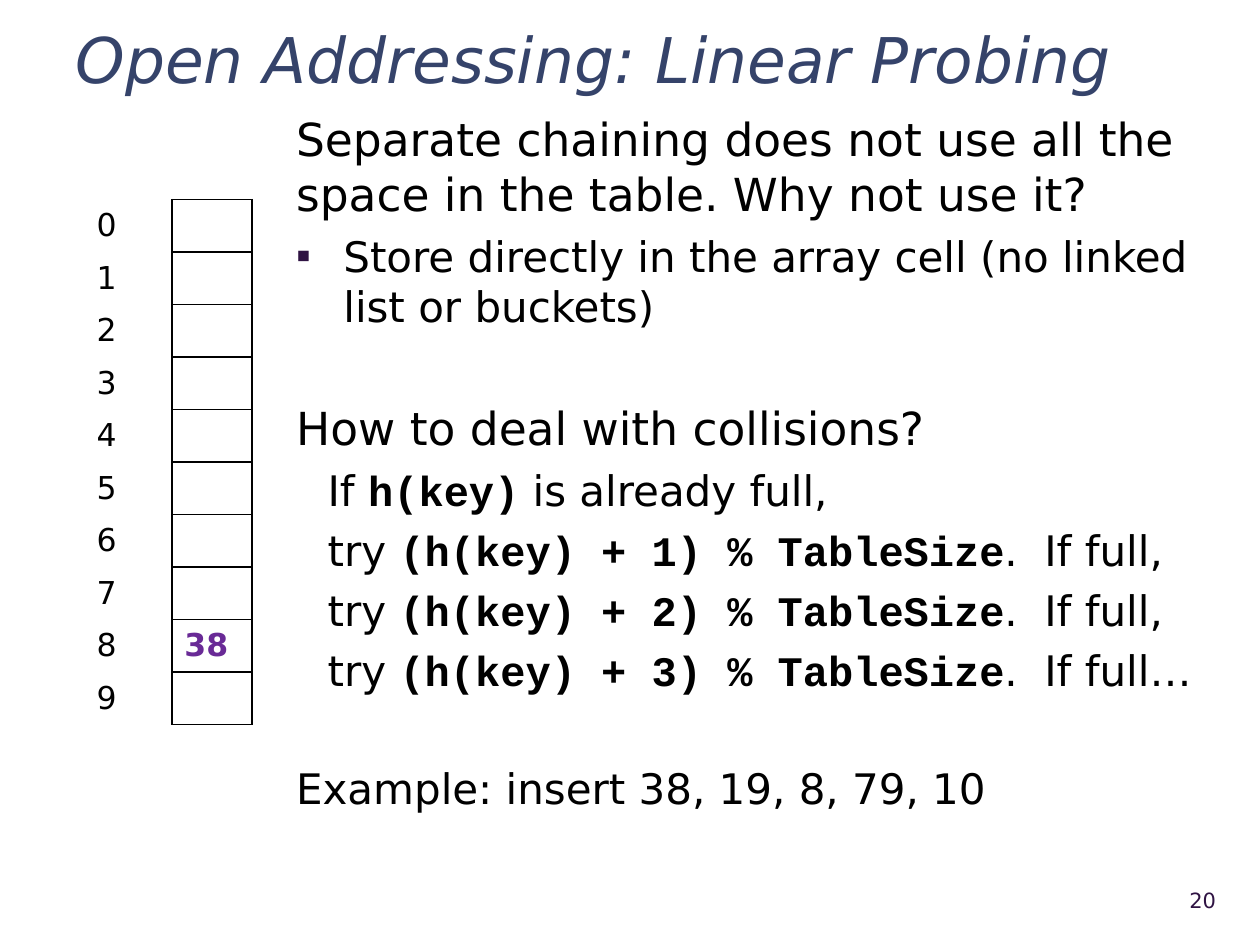
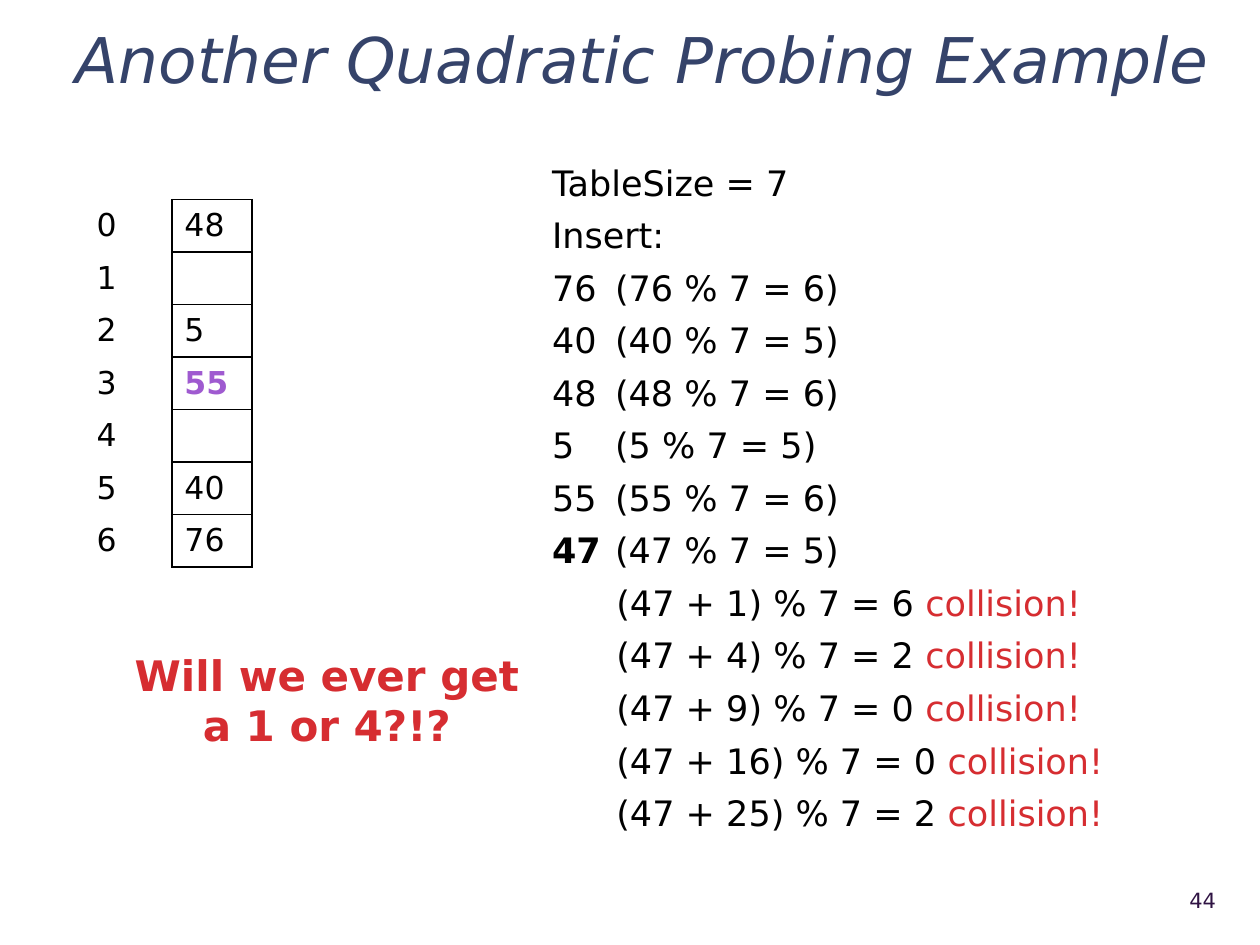
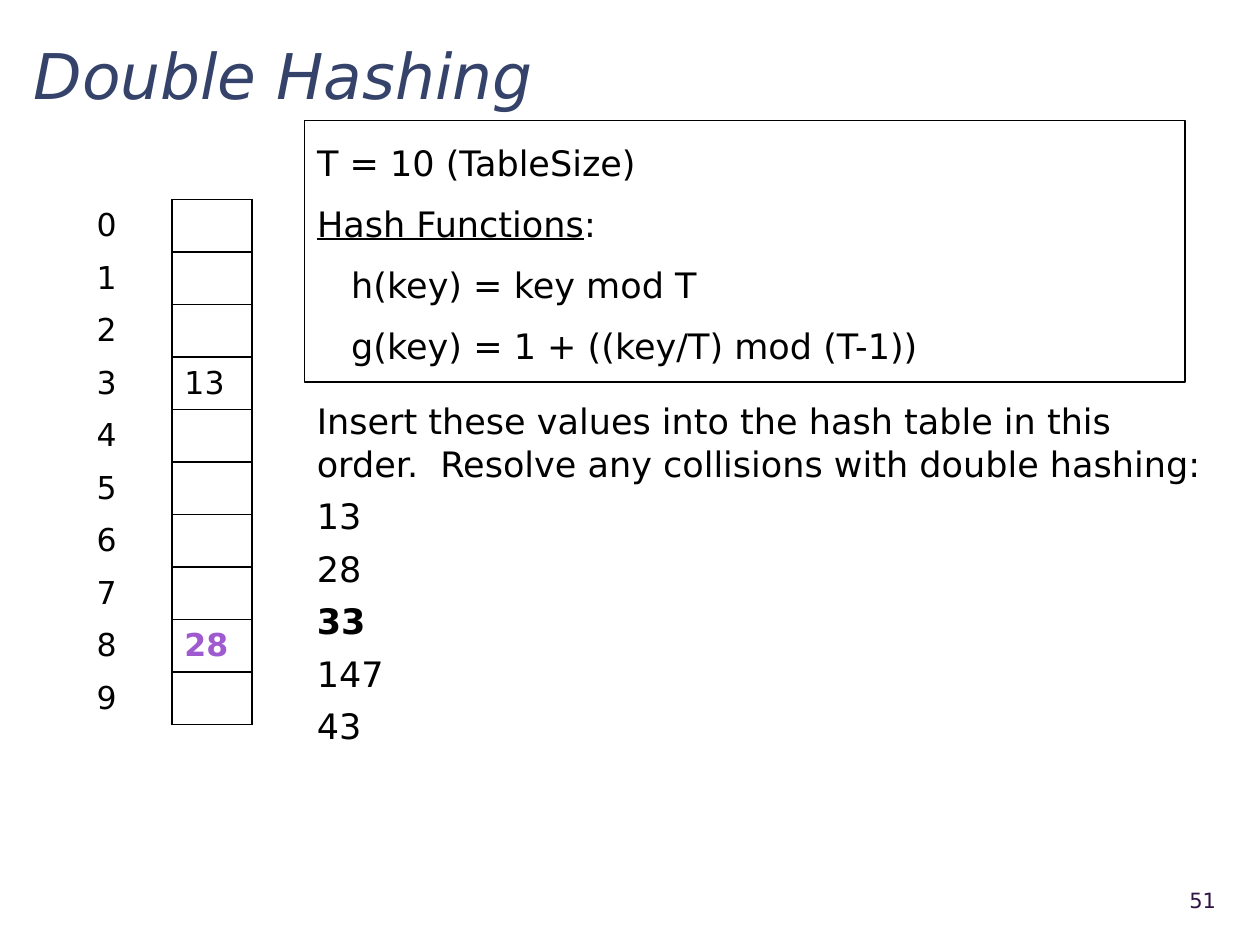
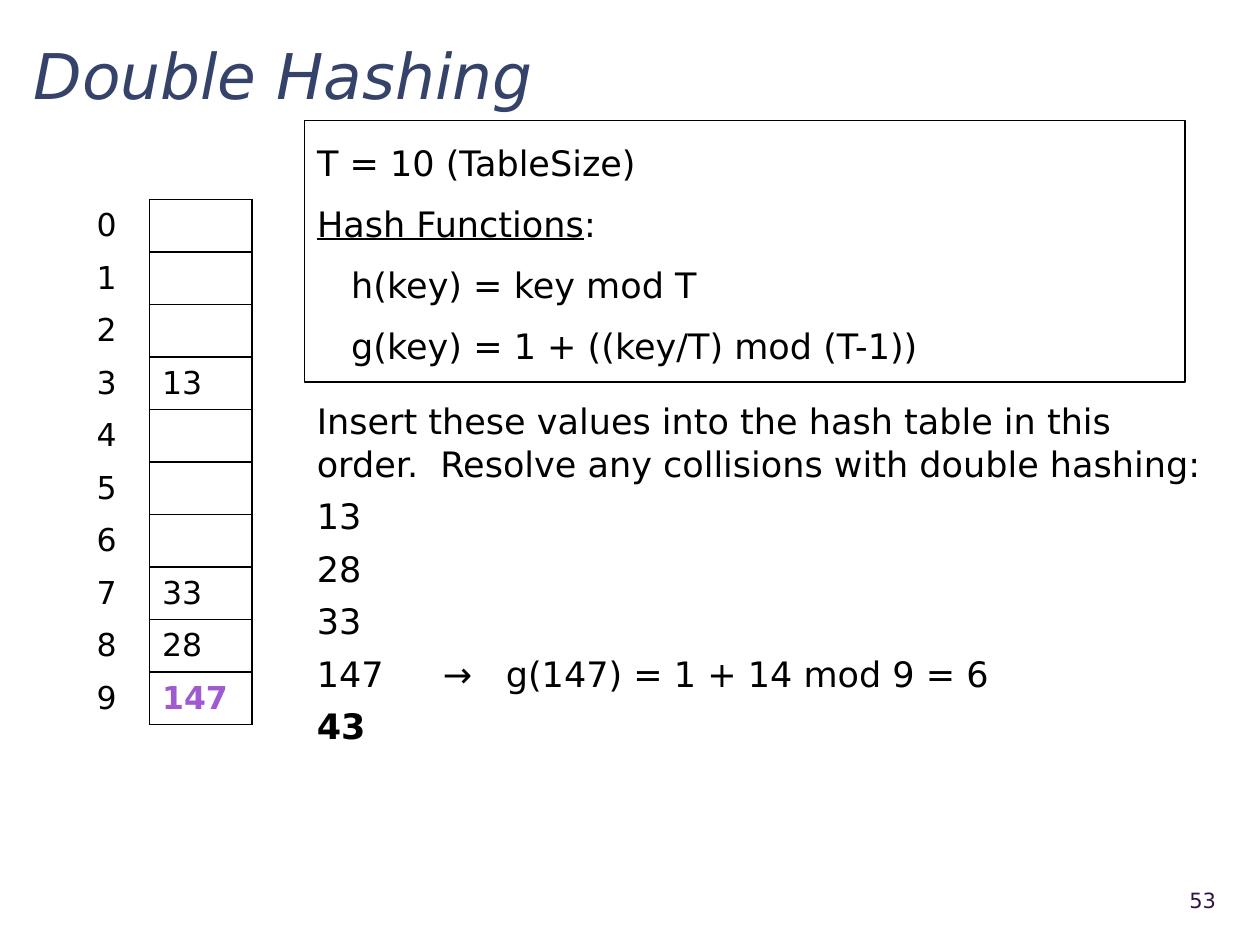
from dataclasses import dataclass
from typing import NamedTuple

from lxml.etree import SubElement
from pptx import Presentation
from pptx.dml.color import RGBColor
from pptx.enum.text import MSO_ANCHOR, MSO_AUTO_SIZE, PP_ALIGN
from pptx.oxml.ns import qn
from pptx.util import Emu, Pt

SANS, MONO = "DejaVu Sans", "Courier New"
BLACK, NAVY, PLUM = "000000", "35436A", "2F1343"
VIOLET, LILAC, RED = "692A96", "9F5AD0", "D62D31"
ROW = 40


class Box(NamedTuple):
    left: int
    top: int
    width: int
    height: int


class Run(NamedTuple):
    text: str
    bold: bool = False
    color: str = BLACK
    font: str = SANS
    under: bool = False
    slant: bool = False


@dataclass
class Para:
    runs: list[Run]
    size: int = 20
    before: float = 6
    left: int = 0
    hang: int = 0
    mark: str = ""
    tabs: tuple[int, ...] = ()
    pitch: float = 1.0
    align: PP_ALIGN = PP_ALIGN.LEFT


@dataclass
class Cells:
    """A hash table: its size, its filled cells and the one just filled."""
    count: int
    values: dict[int, str]
    latest: int
    color: str = LILAC
    cols: tuple[int, int] = (67, 61)


HIGH = Box(48, 16, 888, 51)
LOW = Box(16, 18, 928, 72)
PAGE = Box(853, 667, 83, 38)
NOTES = Box(216, 80, 720, 576)
STEPS = Box(411, 118, 463, 567)
ASIDE = Box(87, 490, 324, 87)
RULES = Box(232, 92, 671, 199)
TASK = Box(232, 300, 699, 276)


def px(count: int) -> Emu:
    return Emu(count * 9525)


def rgb(code: str) -> RGBColor:
    return RGBColor.from_string(code)


def line(text: str, bold: bool = False, **style) -> Para:
    """A paragraph of one run."""
    return Para([Run(text, bold)], **style)


def place(shape, box: Box) -> None:
    shape.left, shape.top, shape.width, shape.height = map(px, box)


def format_list(para, item: Para) -> None:
    """Set indents, bullet and tab stops."""
    props = para._p.get_or_add_pPr()
    props.set("marL", str(px(item.left)))
    props.set("indent", str(px(-item.hang)))
    if item.mark:
        tint = SubElement(props, qn("a:buClr"))
        SubElement(tint, qn("a:srgbClr"), val=PLUM)
        SubElement(props, qn("a:buChar"), char=item.mark)
    else:
        SubElement(props, qn("a:buNone"))
    if item.tabs:
        stops = SubElement(props, qn("a:tabLst"))
        for stop in item.tabs:
            SubElement(stops, qn("a:tab"), pos=str(px(stop)), algn="l")


def write(frame, items: list[Para]) -> None:
    for index, item in enumerate(items):
        para = frame.add_paragraph() if index else frame.paragraphs[0]
        format_list(para, item)
        para.alignment = item.align
        para.line_spacing = item.pitch
        para.space_before = Pt(item.before if index else 0)
        for part in item.runs:
            run = para.add_run()
            run.text = part.text
            font = run.font
            font.name, font.size = part.font, Pt(item.size)
            font.bold, font.italic = part.bold, part.slant
            font.underline = part.under
            font.color.rgb = rgb(part.color)


def fill_box(shape, box: Box, items: list[Para], anchor=MSO_ANCHOR.TOP) -> None:
    place(shape, box)
    frame = shape.text_frame
    frame.word_wrap = True
    frame.auto_size = MSO_AUTO_SIZE.NONE
    frame.vertical_anchor = anchor
    write(frame, items)


def add_text(slide, box: Box, items: list[Para], anchor=MSO_ANCHOR.TOP) -> None:
    fill_box(slide.shapes.add_textbox(0, 0, 0, 0), box, items, anchor)


def edge(cell, sides: str) -> None:
    """Draw black borders on the given sides, in the order L, R, T, B."""
    props = cell._tc.get_or_add_tcPr()
    for side in sides:
        rule = SubElement(props, qn(f"a:ln{side}"), w=str(Pt(1)))
        paint = SubElement(rule, qn("a:solidFill"))
        SubElement(paint, qn("a:srgbClr"), val=BLACK)


def add_cells(slide, data: Cells) -> None:
    size = Box(64, 152, sum(data.cols), ROW * data.count)
    table = slide.shapes.add_table(data.count, 2, *map(px, size)).table
    table.first_row = table.horz_banding = False
    style = table._tbl.tblPr.find(qn("a:tableStyleId"))
    style.text = "{2D5ABB26-0587-4C30-8999-92F81FD0307C}"
    for column, width in zip(table.columns, data.cols):
        column.width = px(width)
    for index in range(data.count):
        new = index == data.latest
        value = Run(data.values.get(index, ""), new, data.color if new else BLACK)
        for col, (part, sides) in enumerate([(Run(str(index)), "R"), (value, "LRTB")]):
            cell = table.cell(index, col)
            edge(cell, sides)
            cell.fill.background()
            cell.vertical_anchor = MSO_ANCHOR.MIDDLE
            if part.text:
                write(cell.text_frame, [Para([part], size=18)])


def add_slide(deck, title: str, spot: Box, page: int, box: Box, items: list[Para], data: Cells):
    slide = deck.slides.add_slide(deck.slide_layouts[1])
    head = Para([Run(title, color=NAVY, slant=True)], size=36, pitch=1.1)
    fill_box(slide.shapes.title, spot, [head], MSO_ANCHOR.MIDDLE)
    fill_box(slide.placeholders[1], box, items)
    add_cells(slide, data)
    number = Para([Run(str(page), color=PLUM)], size=12, align=PP_ALIGN.RIGHT)
    add_text(slide, PAGE, [number], MSO_ANCHOR.MIDDLE)
    return slide


def probe(start: str, code: str, end: str) -> Para:
    runs = [Run(start), Run(code, True, font=MONO), Run(end)]
    return Para(runs, size=24, before=5.5, left=24)


def linear(deck) -> None:
    tries = [probe("try ", f"(h(key) + {step}) % TableSize", f".  If full{end}")
             for step, end in [(1, ","), (2, ","), (3, "…")]]
    items = [
        line("Separate chaining does not use all the space in the table. Why not use it?", size=26),
        line("Store directly in the array cell (no linked list or buckets)",
             size=24, before=5.5, left=36, hang=36, mark="▪"),
        line("How to deal with collisions?", size=26, before=39.5),
        probe("If ", "h(key)", " is already full,"),
        *tries,
        line("Example: insert 38, 19, 8, 79, 10", size=24, before=39),
    ]
    add_slide(deck, "Open Addressing: Linear Probing", HIGH, 20, NOTES, items,
              Cells(10, {8: "38"}, 8, VIOLET))


def quadratic(deck) -> None:
    items = [line("TableSize = 7"), line("Insert:")]
    for key in (76, 40, 48, 5, 55, 47):
        runs = [Run(str(key), key == 47), Run(f"\t({key} % 7 = {key % 7})")]
        items.append(Para(runs, tabs=(240 if key == 48 else 192,)))
    for add, slot in [(1, 6), (4, 2), (9, 0), (16, 0), (25, 2)]:
        runs = [Run(f"(47 + {add}) % 7 = {slot} "), Run("collision!", color=RED)]
        items.append(Para(runs, left=49))
    data = Cells(7, {0: "48", 2: "5", 3: "55", 5: "40", 6: "76"}, 3)
    slide = add_slide(deck, "Another Quadratic Probing Example", HIGH, 44, STEPS, items, data)
    ask = Run("Will we ever get a 1 or 4?!?", True, RED)
    add_text(slide, ASIDE, [Para([ask], size=24, align=PP_ALIGN.CENTER)])


def double(deck, page: int, keys: list[str], current: str, data: Cells) -> None:
    rules = [
        line("T = 10 (TableSize)", pitch=1.2),
        Para([Run("Hash Functions", under=True), Run(":")], pitch=1.2),
        line("h(key) = key mod T", pitch=1.2, left=26),
        line("g(key) = 1 + ((key/T) mod (T-1))", pitch=1.2, left=26),
    ]
    slide = add_slide(deck, "Double Hashing", LOW, page, RULES, rules, data)
    body = slide.placeholders[1]
    body.line.color.rgb = rgb(BLACK)
    body.line.width = Pt(0.75)
    frame = body.text_frame
    frame.margin_top = frame.margin_bottom = Pt(7.2)
    task = line("Insert these values into the hash table in this order.  "
                "Resolve any collisions with double hashing:")
    add_text(slide, TASK, [task] + [line(key, key == current, tabs=(66, 102)) for key in keys])


def main() -> None:
    deck = Presentation()
    deck.slide_width, deck.slide_height = px(960), px(720)
    linear(deck)
    quadratic(deck)
    double(deck, 51, ["13", "28", "33", "147", "43"], "33", Cells(10, {3: "13", 8: "28"}, 8))
    double(deck, 53, ["13", "28", "33", "147\t→\tg(147) = 1 + 14 mod 9 = 6", "43"], "43",
           Cells(10, {3: "13", 7: "33", 8: "28", 9: "147"}, 9, cols=(50, 78)))
    deck.save("out.pptx")


if __name__ == "__main__":
    main()
